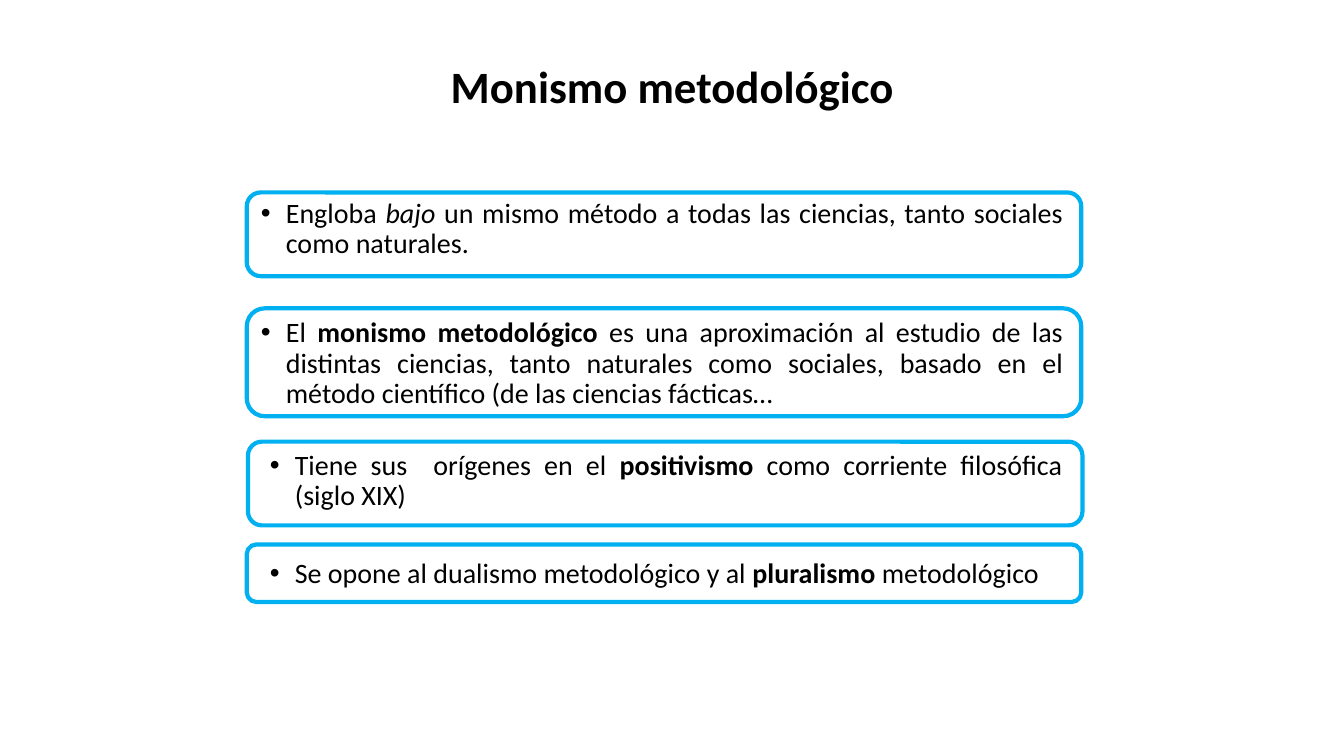
import pptx
import pptx.dml.color
import pptx.enum.shapes
import pptx.enum.text
import pptx.oxml
import pptx.util
from dataclasses import dataclass
from pptx.oxml.ns import nsdecls

Cm = pptx.util.Cm
Pt = pptx.util.Pt
Align = pptx.enum.text.PP_ALIGN
Anchor = pptx.enum.text.MSO_ANCHOR


@dataclass(frozen=True)
class Theme:
    font: str = "Calibri"
    ink: str = "000000"
    frame: str = "00B0F0"
    title_size: int = 32
    body_size: int = 20
    frame_width: int = 3
    line_spacing: float = 0.9
    indent: float = 0.63


THEME = Theme()


def apply_format(target, values):
    for name, value in values.items():
        setattr(target, name, value)


def place(shape, left, top, width, height):
    apply_format(shape, {"left": Cm(left), "top": Cm(top),
                         "width": Cm(width), "height": Cm(height)})


def add_span(para, text, size, bold=False, italic=False):
    span = para.add_run()
    span.text = text
    apply_format(span.font, {"name": THEME.font, "size": Pt(size),
                             "bold": bold, "italic": italic})
    span.font.color.rgb = pptx.dml.color.RGBColor.from_string(THEME.ink)


def add_bullet(para):
    properties = para._p.get_or_add_pPr()
    indent = Cm(THEME.indent)
    properties.set("marL", str(indent))
    properties.set("indent", str(-indent))
    for tag in ('a:buFont {} typeface="Arial"', 'a:buChar {} char="•"'):
        properties.append(pptx.oxml.parse_xml(f"<{tag.format(nsdecls('a'))}/>"))


def add_title(page, box, text):
    title = page.shapes.title
    place(title, *box)
    title.text_frame.vertical_anchor = Anchor.MIDDLE
    para = title.text_frame.paragraphs[0]
    apply_format(para, {"alignment": Align.CENTER,
                        "line_spacing": THEME.line_spacing})
    add_span(para, text, THEME.title_size, bold=True)


def add_framed_list(page, holder, box, insets, frames, items, gap):
    """Place a bullet list in the box and a rounded frame round each item."""
    left, top, width, height = box
    inset_left, inset_top, inset_right = insets

    # Bullet list
    place(holder, left + inset_left, top + inset_top,
          width - inset_left - inset_right, height - inset_top)
    frame = holder.text_frame
    apply_format(frame, {"word_wrap": True, "vertical_anchor": Anchor.TOP,
                         "auto_size": pptx.enum.text.MSO_AUTO_SIZE.NONE})
    for index, item in enumerate(items):
        para = frame.add_paragraph() if index else frame.paragraphs[0]
        add_bullet(para)
        apply_format(para, {"alignment": Align.JUSTIFY,
                            "line_spacing": THEME.line_spacing,
                            "space_before": Pt(gap if index else 0)})
        for text, style in item:
            add_span(para, text, THEME.body_size, **style)

    # Rounded frames
    for shift, drop, frame_height in frames:
        outline = page.shapes.add_shape(
            pptx.enum.shapes.MSO_SHAPE.ROUNDED_RECTANGLE,
            Cm(left + shift), Cm(top + drop), Cm(width), Cm(frame_height))
        outline.shadow.inherit = False
        outline.fill.background()
        outline.line.width = Pt(THEME.frame_width)
        outline.line.color.rgb = pptx.dml.color.RGBColor.from_string(THEME.frame)


PLAIN, BOLD, ITALIC = {}, {"bold": True}, {"italic": True}

DEFINITION = [
    [("Engloba ", PLAIN), ("bajo", ITALIC),
     (" un mismo método a todas las ciencias, tanto sociales como naturales.", PLAIN)],
    [("El ", PLAIN), ("monismo metodológico", BOLD),
     (" es una aproximación al estudio de las distintas ciencias, tanto naturales "
      "como sociales, basado en el método científico (de las ciencias fácticas…", PLAIN)],
]
CONTEXT = [
    [("Tiene sus  orígenes en el ", PLAIN), ("positivismo", BOLD),
     (" como corriente filosófica (siglo XIX)", PLAIN)],
    [("Se opone al dualismo metodológico y al ", PLAIN), ("pluralismo", BOLD),
     (" metodológico", PLAIN)],
]


def main():
    deck = pptx.Presentation()
    apply_format(deck, {"slide_width": Cm(33.87), "slide_height": Cm(19.05)})
    page = deck.slides.add_slide(deck.slide_layouts[1])

    add_title(page, (2.34, 1.02, 29.21, 2.46), "Monismo metodológico")

    # Definition in the body placeholder
    add_framed_list(page, page.placeholders[1], (6.22, 4.85, 21.03, 9.3),
                    (0.1, 0.05, 0.2), [(0, 0, 2.11), (0, 2.92, 2.72)],
                    DEFINITION, gap=42)

    # Origins and opposition below it
    context = page.shapes.add_textbox(0, 0, 0, 0)
    add_framed_list(page, context, (6.22, 11.13, 21.03, 3.9),
                    (0.33, 0.12, 0.23), [(0.03, 0, 2.11), (0, 2.59, 1.45)],
                    CONTEXT, gap=34)

    deck.save("out.pptx")


if __name__ == "__main__":
    main()
